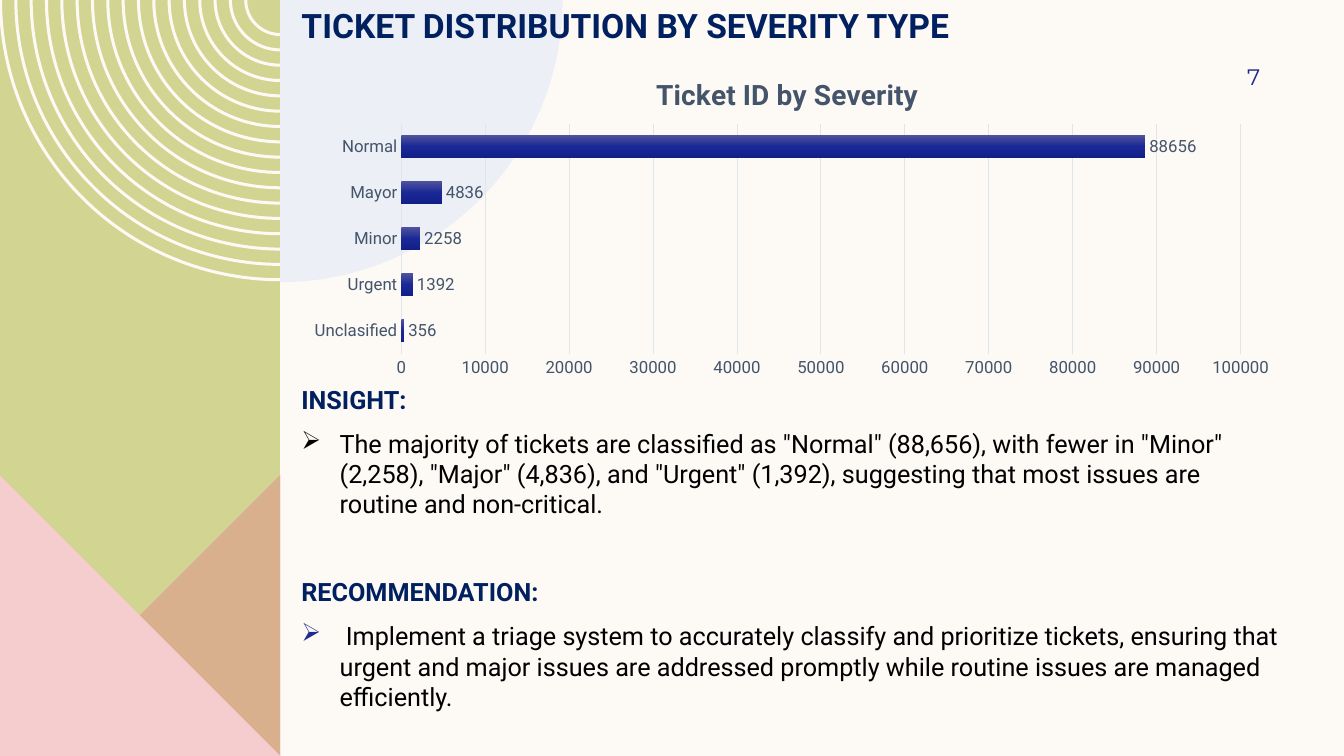
from lxml.etree import SubElement
from pptx import Presentation
from pptx.chart.data import CategoryChartData
from pptx.dml.color import RGBColor
from pptx.enum.chart import XL_CHART_TYPE as Kind, XL_LABEL_POSITION as Spot, XL_TICK_MARK as Tick
from pptx.enum.text import MSO_ANCHOR as Anchor, PP_ALIGN as Align
from pptx.oxml import parse_xml
from pptx.oxml.ns import nsdecls, qn
from pptx.util import Inches, Pt

CREAM = RGBColor(0xFD, 0xFA, 0xF6)
GREEN = RGBColor(0xD2, 0xD5, 0x92)
ROSE = RGBColor(0xDE, 0x8C, 0x8C)
PINK = RGBColor(0xF5, 0xCD, 0xCE)
PALE = RGBColor(0xDD, 0xE7, 0xF6)
NAVY = RGBColor(0x00, 0x20, 0x60)
BLUE = RGBColor(0x1F, 0x2C, 0x8F)
BLACK = RGBColor(0, 0, 0)
SLATE = RGBColor(0x44, 0x54, 0x6A)
GRID = RGBColor(0xE0, 0xE5, 0xEB)
BAR_STOPS = [(0, "4F539D"), (50, "192895"), (100, "121F89")]

TITLE = "TICKET DISTRIBUTION BY SEVERITY TYPE"
PAGE = "7"
CHART_TITLE = "Ticket ID by Severity"
TICKETS = [("Unclasified", 356), ("Urgent", 1392), ("Minor", 2258),
           ("Mayor", 4836), ("Normal", 88656)]
# Each paragraph: space before in points, bulleted, runs of (text, colour, bold)
BODY = [
    (10, False, [("INSIGHT:", NAVY, True)]),
    (10, True, [('The majority of tickets are classified as "Normal" (88,656), with fewer in '
                 '"Minor" (2,258), "Major" (4,836), and "Urgent" (1,392), suggesting that most '
                 'issues are routine and non-critical.', BLACK, False)]),
    (41, False, [("RECOMMENDATION:", NAVY, True)]),
    (10, True, [(" ", BLUE, False),
                ("Implement a triage system to accurately classify and prioritize tickets, "
                 "ensuring that urgent and major issues are addressed promptly while routine "
                 "issues are managed efficiently.", BLACK, False)]),
]

WIDE, HIGH = 13.33, 7.5
LEFT, EDGE = -0.01, 2.78   # sides of the coloured band
CORNER = 4.71              # top of the triangles
RINGS, STEP, THICK = 17, 0.15, 0.03
DISC = 2.8

prs = Presentation()
prs.slide_width, prs.slide_height = Inches(WIDE), Inches(HIGH)
slide = prs.slides.add_slide(prs.slide_layouts[5])
slide.background.fill.solid()
slide.background.fill.fore_color.rgb = CREAM
shapes = slide.shapes


def draw(outlines, color, alpha=None):
    """Fill one freeform made of closed outlines; alpha is in percent."""
    build = None
    for outline in outlines:
        points = [(Inches(x), Inches(y)) for x, y in outline]
        if build is None:
            build = shapes.build_freeform(*points[0], scale=1.0)
        else:
            build.move_to(*points[0])
        build.add_line_segments(points[1:], close=True)
    shape = build.convert_to_shape()
    shape.shadow.inherit = False
    shape.line.fill.background()
    shape.fill.solid()
    shape.fill.fore_color.rgb = color
    if alpha:
        tone = shape.element.spPr.find(".//" + qn("a:srgbClr"))
        SubElement(tone, qn("a:alpha")).set("val", str(alpha * 1000))
    return shape


def bend(shape, arcs):
    """Turn every second side into an arc of (radius, start, sweep), angles in degrees."""
    sides = shape.element.findall(".//" + qn("a:lnTo"))[1::2]
    for side, (radius, start, sweep) in zip(sides, arcs):
        size = Inches(radius)
        side.addnext(parse_xml(f'<a:arcTo {nsdecls("a")} wR="{size}" hR="{size}" '
                               f'stAng="{start * 60000}" swAng="{sweep * 60000}"/>'))
        side.getparent().remove(side)


def style(font, size, color, bold=False, name="Roboto"):
    font.name, font.size, font.bold = name, Pt(size), bold
    font.color.rgb = color


def write(para, text, *look, **more):
    run = para.add_run()
    run.text = text
    style(run.font, *look, **more)


def place(shape, *box):
    shape.left, shape.top, shape.width, shape.height = map(Inches, box)


def set_layout(parent, spots, inner=False):
    """Place a chart part by fractions of the chart."""
    old = parent.find(qn("c:layout"))
    if old is not None:
        parent.remove(old)
    target = '<c:layoutTarget val="inner"/>' if inner else ""
    modes = "".join(f'<c:{k}Mode val="edge"/>' for k in "xy")
    sizes = "".join(f'<c:{k} val="{v}"/>' for k, v in spots.items())
    layout = parse_xml(f'<c:layout {nsdecls("c")}><c:manualLayout>{target}{modes}{sizes}'
                       '</c:manualLayout></c:layout>')
    if inner:
        parent.insert(0, layout)
    else:
        parent.find(qn("c:tx")).addnext(layout)


# Side band
draw([[(LEFT, 0), (EDGE, 0), (EDGE, HIGH), (LEFT, HIGH)]], GREEN)
rings, arcs = [], []
for i in range(RINGS):
    outer = EDGE - LEFT - (STEP + 0.002) * i
    inner = outer - THICK
    rings.append([(EDGE - outer, 0), (EDGE - inner, 0), (EDGE, inner), (EDGE, outer),
                  (EDGE - outer, 0)])
    arcs += [(inner, 180, -90), (outer, 90, 90)]
bend(draw(rings, CREAM), arcs)
draw([[(EDGE, CORNER), (EDGE, HIGH), (LEFT, HIGH)]], ROSE, 50)
draw([[(LEFT, CORNER), (EDGE, HIGH), (LEFT, HIGH)]], PINK)
bend(draw([[(EDGE, 0), (EDGE + DISC, 0), (EDGE, DISC)]], PALE, 50), [(DISC, 0, 90)])

# Body text
box = shapes.add_textbox(0, 0, 0, 0)
place(box, 2.89, 3.81, 9.91, 3.45)
frame = box.text_frame
frame.word_wrap = True
frame.margin_top = frame.margin_bottom = 0
for i, (gap, bullet, runs) in enumerate(BODY):
    para = frame.paragraphs[0] if i == 0 else frame.add_paragraph()
    para.space_before = Pt(gap)
    if bullet:
        props = para._p.get_or_add_pPr()
        props.set("marL", str(Inches(0.38)))
        props.set("indent", str(-Inches(0.38)))
        SubElement(props, qn("a:buChar")).set("char", "➢")
    for text, color, bold in runs:
        write(para, text, 18, color, bold)

# Page number
box = shapes.add_textbox(0, 0, 0, 0)
place(box, 11.33, 0.5, 1.17, 0.52)
frame = box.text_frame
frame.word_wrap = True
frame.vertical_anchor = Anchor.MIDDLE
frame.margin_right = 0
frame.paragraphs[0].alignment = Align.RIGHT
write(frame.paragraphs[0], PAGE, 16, BLUE, name="Montserrat")

# Title, raised above the side art
title = shapes.title
place(title, 2.89, 0, 7.76, 0.5)
frame = title.text_frame
frame.vertical_anchor = Anchor.TOP
frame.paragraphs[0].alignment = Align.LEFT
write(frame.paragraphs[0], TITLE, 24, NAVY, True)
shapes.element.append(title.element)

# Chart
data = CategoryChartData()
data.categories = [name for name, count in TICKETS]
data.add_series("Series 1", [count for name, count in TICKETS])
spot = map(Inches, (2.89, 0.5, 9.91, 3.31))
chart = shapes.add_chart(Kind.BAR_CLUSTERED, *spot, data).chart
style(chart.font, 10, BLACK)
chart.has_legend = False
chart.has_title = True
write(chart.chart_title.text_frame.paragraphs[0], CHART_TITLE, 20, SLATE, True)
set_layout(chart.chart_title._element, {"x": 0.36, "y": 0.06})
set_layout(chart._chartSpace.chart.plotArea, {"x": 0.11, "y": 0.22, "w": 0.84, "h": 0.69}, True)

names, scale = chart.category_axis, chart.value_axis
for axis in (names, scale):
    axis.major_tick_mark = axis.minor_tick_mark = Tick.NONE
    style(axis.tick_labels.font, 12, SLATE)
scale.minimum_scale, scale.maximum_scale, scale.major_unit = 0, 100000, 10000
scale.has_major_gridlines = True
scale.format.line.fill.background()
for line in (names.format.line, scale.major_gridlines.format.line):
    line.color.rgb = GRID
    line.width = Pt(0.75)

plot = chart.plots[0]
plot.gap_width = 100
plot.vary_by_categories = False
plot.has_data_labels = True
labels = plot.data_labels
labels.show_value = True
labels.position = Spot.OUTSIDE_END
style(labels.font, 12, SLATE)
stops = "".join(f'<a:gs pos="{at * 1000}"><a:srgbClr val="{tone}"/></a:gs>'
                for at, tone in BAR_STOPS)
plot.series[0]._element.get_or_add_spPr().append(parse_xml(
    f'<a:gradFill {nsdecls("a")}><a:gsLst>{stops}</a:gsLst>'
    '<a:lin ang="5400000" scaled="0"/></a:gradFill>'))

prs.save("out.pptx")
